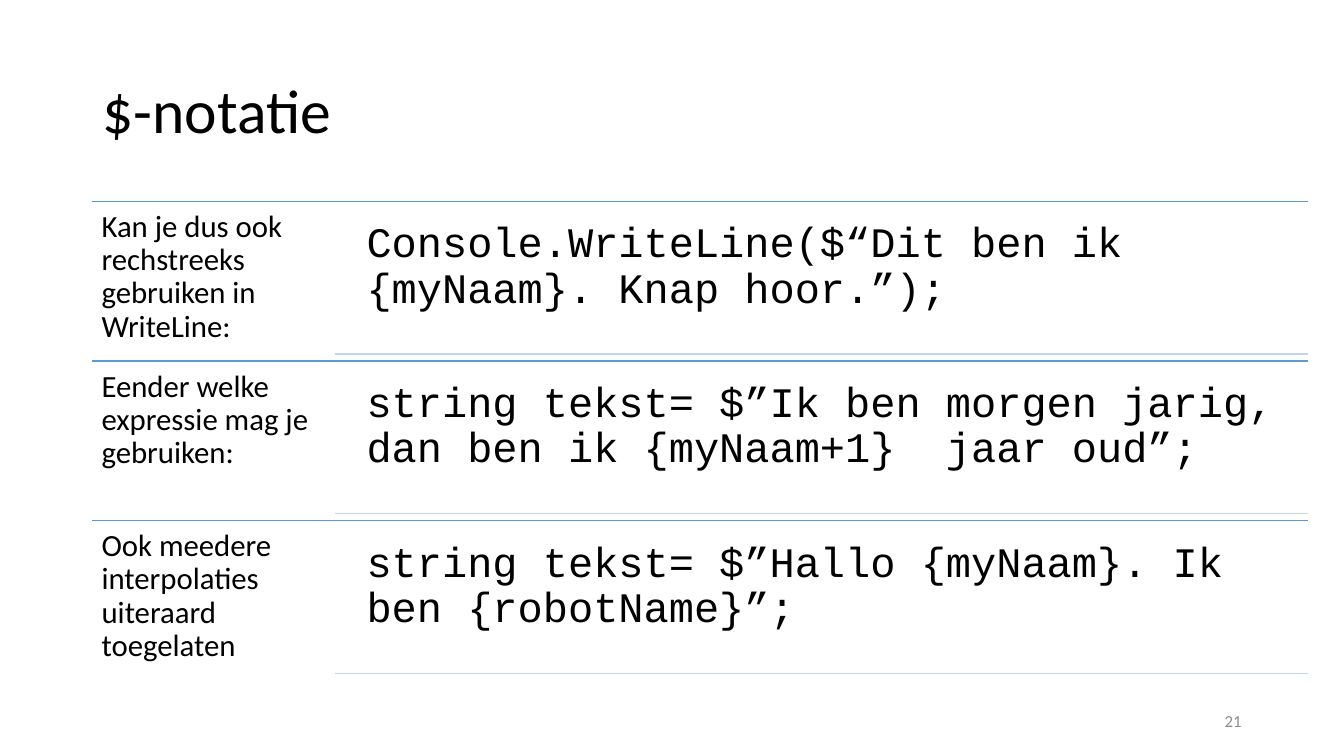
from lxml import etree
from pptx import Presentation
from pptx.dml.color import RGBColor
from pptx.enum.shapes import MSO_CONNECTOR
from pptx.enum.text import MSO_ANCHOR, MSO_AUTO_SIZE, PP_ALIGN
from pptx.oxml.ns import qn
from pptx.util import Pt

HEADING = "$-notatie"
PAGE_NUMBER = "21"
EXAMPLES = [
    ("Kan je dus ook rechstreeks gebruiken in WriteLine:",
     "Console.WriteLine($“Dit ben ik {myNaam}. Knap hoor.”);"),
    ("Eender welke expressie mag je gebruiken:",
     "string tekst= $”Ik ben morgen jarig, dan ben ik {myNaam+1}  jaar oud”;"),
    ("Ook meedere interpolaties uiteraard toegelaten",
     "string tekst= $”Hallo {myNaam}. Ik ben {robotName}”;"),
]
COLOURS = {"text": "000000", "number": "8C8C8C", "rule": "5B9BD5", "underline": "C4D5EB"}

LEFT, RIGHT = 66, 934
FIRST_TOP, ROW_HEIGHT = 144, 114
LABEL_WIDTH = 173.6
CODE_LEFT, CODE_OFFSET, CODE_HEIGHT = 252.8, 5.3, 103.6


def format_text(frame, text, size, colour, font="Calibri", inset=None,
                anchor=MSO_ANCHOR.TOP, align=PP_ALIGN.LEFT, spacing=0.9):
    frame.word_wrap = True
    frame.auto_size = MSO_AUTO_SIZE.NONE
    frame.vertical_anchor = anchor
    if inset is not None:
        frame.margin_left = frame.margin_right = Pt(inset)
        frame.margin_top = frame.margin_bottom = Pt(inset)
    paragraph = frame.paragraphs[0]
    paragraph.text = text
    paragraph.alignment = align
    paragraph.line_spacing = spacing
    paragraph.font.name = font
    paragraph.font.size = Pt(size)
    paragraph.font.color.rgb = RGBColor.from_string(COLOURS[colour])


def add_text(slide, left, top, width, height, *content, **options):
    box = slide.shapes.add_textbox(Pt(left), Pt(top), Pt(width), Pt(height))
    format_text(box.text_frame, *content, **options)


def add_rule(slide, left, y, colour):
    rule = slide.shapes.add_connector(
        MSO_CONNECTOR.STRAIGHT, Pt(left), Pt(y), Pt(RIGHT), Pt(y))
    rule.line.color.rgb = RGBColor.from_string(COLOURS[colour])
    rule.line.width = Pt(1)
    etree.SubElement(rule.element.spPr, qn("a:effectLst"))


def main():
    deck = Presentation()
    deck.slide_width, deck.slide_height = Pt(960), Pt(540)
    slide = deck.slides.add_slide(deck.slide_layouts[5])

    title = slide.shapes.title
    title.left, title.top, title.width, title.height = Pt(LEFT), Pt(28.8), Pt(828), Pt(104.4)
    format_text(title.text_frame, HEADING, 44, "text", anchor=MSO_ANCHOR.MIDDLE)

    add_text(slide, 678, 500.5, 216, 28.8, PAGE_NUMBER, 12, "number",
             anchor=MSO_ANCHOR.MIDDLE, align=PP_ALIGN.RIGHT, spacing=1.0)

    for row, (label, code) in enumerate(EXAMPLES):
        top = FIRST_TOP + row * ROW_HEIGHT
        code_top = top + CODE_OFFSET
        add_rule(slide, LEFT, top, "rule")
        add_text(slide, LEFT, top, LABEL_WIDTH, ROW_HEIGHT, label, 22, "text", inset=6.6)
        add_text(slide, CODE_LEFT, code_top, RIGHT - CODE_LEFT, CODE_HEIGHT,
                 code, 30, "text", font="Courier New", inset=9)
        add_rule(slide, LEFT + LABEL_WIDTH, code_top + CODE_HEIGHT, "underline")

    deck.save("out.pptx")


if __name__ == "__main__":
    main()
